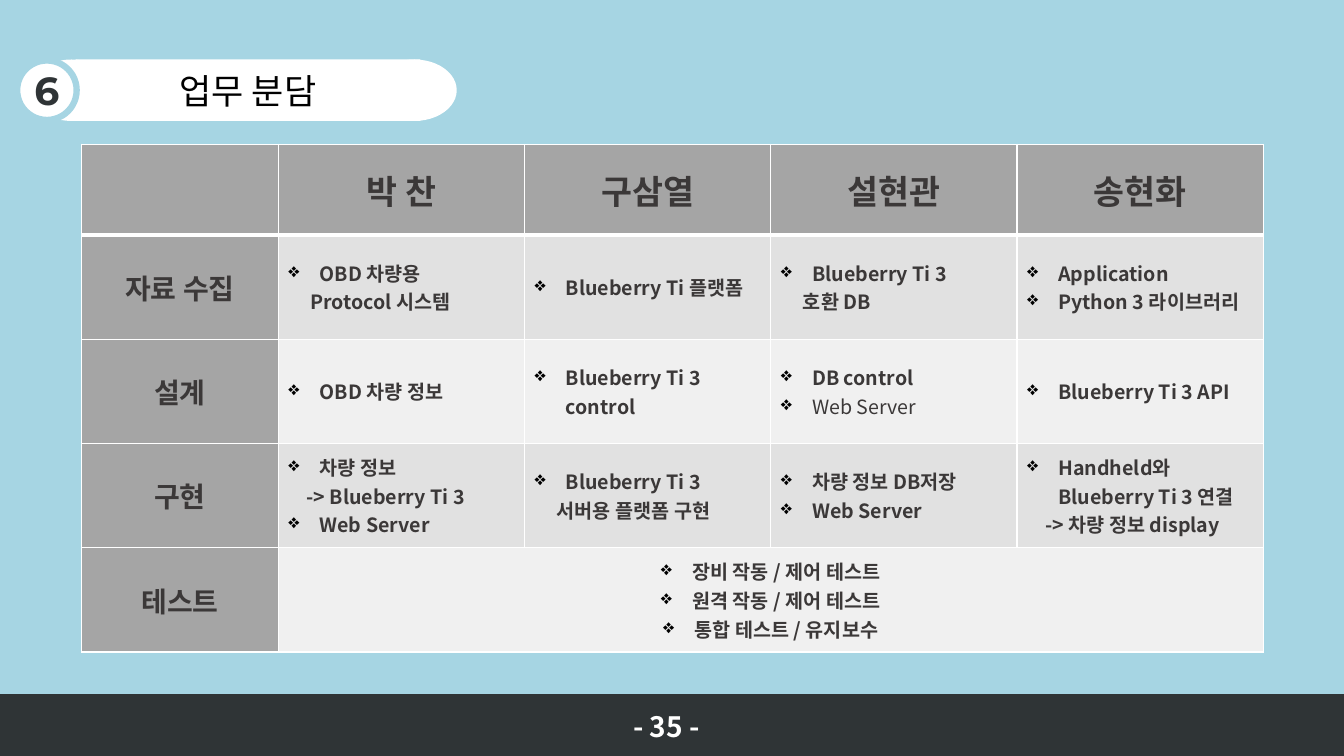
import pptx
import pptx.dml.color
import pptx.enum.shapes
import pptx.enum.text
import pptx.oxml.ns
import pptx.util
from lxml import etree

Inches = pptx.util.Inches
Pt = pptx.util.Pt
SHAPE = pptx.enum.shapes.MSO_SHAPE
ALIGN = pptx.enum.text.PP_ALIGN
MIDDLE = pptx.enum.text.MSO_ANCHOR.MIDDLE
qn = pptx.oxml.ns.qn

SANS = "Noto Sans CJK KR"
SKY, DARK, WHITE = "A6D5E3", "2F3436", "FFFFFF"
HEAD, BANDS, INK = "A5A5A5", ("E1E1E1", "F0F0F0"), "3B3838"
HANG = 0.31


def dot(text, **style):
    return dict(text=text, bullet=True, left=HANG, **style)


def cont(text, left=0.22):
    """A line without a bullet that continues the item above."""
    return dict(text=text, left=left)


NAMES = ["박 찬", "구삼열", "설현관", "송현화"]
TASKS = [
    ("자료 수집", [
        [dot("OBD 차량용"), cont("Protocol 시스템")],
        [dot("Blueberry Ti 플랫폼")],
        [dot("Blueberry Ti 3"), cont("호환 DB")],
        [dot("Application"), dot("Python 3 라이브러리")]]),
    ("설계", [
        [dot("OBD 차량 정보")],
        [dot("Blueberry Ti 3 control")],
        [dot("DB control"), dot("Web Server", bold=False)],
        [dot("Blueberry Ti 3 API")]]),
    ("구현", [
        [dot("차량 정보"), cont("-> Blueberry Ti 3", 0.18), dot("Web Server")],
        [dot("Blueberry Ti 3"), cont("서버용 플랫폼 구현")],
        [dot("차량 정보 DB저장"), dot("Web Server")],
        [dot("Handheld와 Blueberry Ti 3 연결"), cont("-> 차량 정보 display", 0.18)]]),
    ("테스트", [
        [dot(text, align=ALIGN.CENTER) for text in
         ("장비 작동 / 제어 테스트", "원격 작동 / 제어 테스트", "통합 테스트 / 유지보수")]]),
]


def rgb(code):
    return pptx.dml.color.RGBColor.from_string(code)


def paint(fill, code):
    fill.solid()
    fill.fore_color.rgb = rgb(code)


def write(para, text, size=14, color=INK, bold=True, font=SANS,
          align=ALIGN.LEFT, bullet=False, left=0):
    para.alignment = align
    run = para.add_run()
    run.text = text
    run.font.size, run.font.bold, run.font.name = Pt(size), bold, font
    run.font.color.rgb = rgb(color)
    etree.SubElement(run.font._element, qn("a:ea"), typeface=font)
    props = para._p.get_or_add_pPr()
    props.set("marL", str(Inches(left)))
    props.set("indent", str(-Inches(left) if bullet else 0))
    if bullet:
        tint = etree.SubElement(props, qn("a:buClr"))
        etree.SubElement(tint, qn("a:srgbClr"), val="000000")
        etree.SubElement(props, qn("a:buChar"), char="❖")


def draw(slide, kind, box, fill, line=None, width=1):
    shape = slide.shapes.add_shape(kind, *map(Inches, box))
    shape.shadow.inherit = False
    paint(shape.fill, fill)
    if line:
        shape.line.color.rgb = rgb(line)
        shape.line.width = Pt(width)
    else:
        shape.line.fill.background()
    return shape


def add_head(slide, box, number, text):
    """White pill holding the title, with a ringed number at its left."""
    x, y, w, h = box
    cap = 0.84
    for left in (x, x + w - cap):
        draw(slide, SHAPE.OVAL, (left, y, cap, h), WHITE)
    title = slide.shapes.title
    title.left, title.top = Inches(x + 0.46), Inches(y)
    title.width, title.height = Inches(w - 0.82), Inches(h)
    paint(title.fill, WHITE)
    frame = title.text_frame
    frame.auto_size = pptx.enum.text.MSO_AUTO_SIZE.NONE
    frame.vertical_anchor = MIDDLE
    write(frame.paragraphs[0], text, size=25, color="000000", bold=False,
          align=ALIGN.CENTER)
    ring = draw(slide, SHAPE.OVAL, (x - 0.12, y + 0.01, 0.59, 0.59),
                WHITE, SKY, 4.5)
    frame = ring.text_frame
    frame.word_wrap = False
    frame.vertical_anchor = MIDDLE
    write(frame.paragraphs[0], number, size=28, color=DARK,
          font="Montserrat", align=ALIGN.CENTER)


def edge(cell, **widths):
    """White borders, given as side=points in the order L, R, T, B."""
    props = cell._tc.get_or_add_tcPr()
    for spot, (side, width) in enumerate(widths.items()):
        line = etree.Element(qn("a:ln" + side), w=str(Pt(width)))
        fill = etree.SubElement(line, qn("a:solidFill"))
        etree.SubElement(fill, qn("a:srgbClr"), val=WHITE)
        props.insert(spot, line)


def fill_cell(cell, items):
    cell.vertical_anchor = MIDDLE
    frame = cell.text_frame
    for i, item in enumerate(items):
        write(frame.add_paragraph() if i else frame.paragraphs[0], **item)


def add_tasks(slide, box):
    x, y, w, h = box
    side, top = 1.95, 0.9
    rows, cols = len(TASKS) + 1, len(NAMES) + 1
    table = slide.shapes.add_table(rows, cols, *map(Inches, box)).table
    for i, col in enumerate(table.columns):
        col.width = Inches((w - side) / (cols - 1) if i else side)
    for i, row in enumerate(table.rows):
        row.height = Inches((h - top) / (rows - 1) if i else top)
        for j, cell in enumerate(row.cells):
            paint(cell.fill, BANDS[(i - 1) % 2] if i and j else HEAD)
            edge(cell, L=1, R=1, T=3 if i == 1 else 1, B=1 if i else 3)
    for j, name in enumerate(NAMES, 1):
        fill_cell(table.cell(0, j),
                  [dict(text=name, size=24, align=ALIGN.CENTER)])
    for i, (stage, parts) in enumerate(TASKS, 1):
        fill_cell(table.cell(i, 0),
                  [dict(text=stage, size=20, align=ALIGN.CENTER)])
        for j, items in enumerate(parts, 1):
            fill_cell(table.cell(i, j), items)
        if len(parts) == 1:
            table.cell(i, 1).merge(table.cell(i, cols - 1))


def add_foot(slide, box, text):
    x, y, w, h = box
    draw(slide, SHAPE.RECTANGLE, box, DARK, DARK)
    label = slide.shapes.add_textbox(*map(Inches, (x + 6.18, y + 0.1, 0.98, 0.44)))
    label.text_frame.word_wrap = True
    write(label.text_frame.paragraphs[0], text, size=20, color=WHITE)


def main():
    deck = pptx.Presentation()
    deck.slide_width, deck.slide_height = Inches(13.33), Inches(7.5)
    slide = deck.slides.add_slide(deck.slide_layouts[5])
    paint(slide.background.fill, SKY)
    add_head(slide, (0.29, 0.59, 4.24, 0.61), "6", "업무 분담")
    add_foot(slide, (0, 6.89, 13.33, 0.61), "- 35 -")
    add_tasks(slide, (0.81, 1.43, 11.72, 5.04))
    deck.save("out.pptx")


if __name__ == "__main__":
    main()
